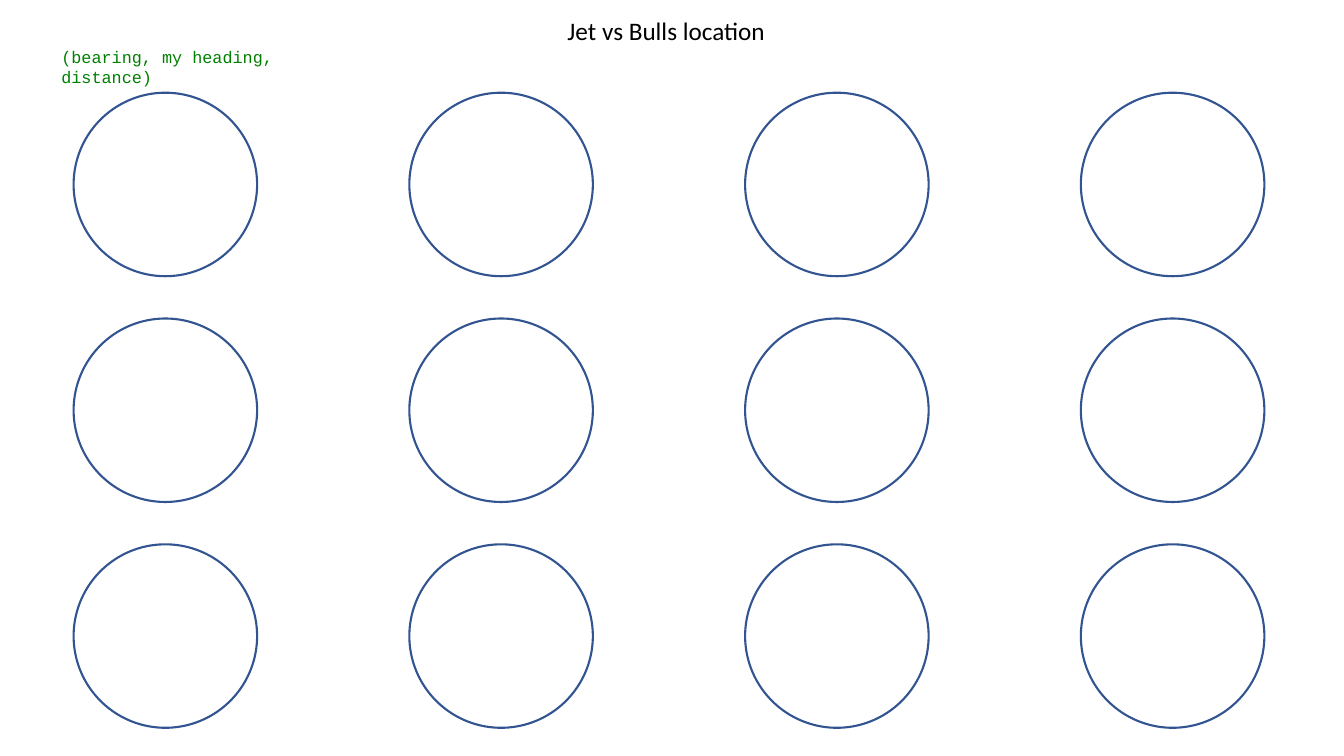
from pptx import Presentation
from pptx import util as u
from pptx.dml.color import RGBColor
from pptx.enum import shapes, text

COLS, ROWS = 4, 3
LEFT, TOP = 0.73, 0.92
STEP_X, STEP_Y = 3.33, 2.24
SIZE = 1.82


def paint(code):
    return RGBColor.from_string(code)


def add_ring(slide, col, row):
    ring = slide.shapes.add_shape(
        shapes.MSO_SHAPE.OVAL,
        u.Inches(LEFT + col * STEP_X), u.Inches(TOP + row * STEP_Y),
        u.Inches(SIZE), u.Inches(SIZE))
    ring.shadow.inherit = False
    ring.fill.background()
    ring.line.color.rgb = paint("325491")
    ring.line.width = u.Pt(1.5)


def add_label(slide, words, box, font, size, color, wrap=False):
    label = slide.shapes.add_textbox(*map(u.Inches, box))
    frame = label.text_frame
    frame.word_wrap = wrap
    frame.auto_size = text.MSO_AUTO_SIZE.NONE
    para = frame.paragraphs[0]
    para.text = words
    para.font.name = font
    para.font.size = u.Pt(size)
    para.font.color.rgb = paint(color)
    return frame


def main():
    deck = Presentation()
    deck.slide_width, deck.slide_height = u.Inches(13.33), u.Inches(7.5)
    slide = deck.slides.add_slide(deck.slide_layouts[6])

    for col in range(COLS):
        for row in range(ROWS):
            add_ring(slide, col, row)

    add_label(slide, "Jet vs Bulls location", (5.53, 0.1, 2.27, 0.4),
              "Calibri", 18, "000000")
    hint = add_label(slide, "(bearing, my heading, distance)",
                     (0.51, 0.41, 3.25, 0.3), "Courier New", 12, "008000",
                     wrap=True)
    # The wide right inset breaks the hint before its last word.
    hint.margin_right = u.Inches(0.8)

    deck.save("out.pptx")


if __name__ == "__main__":
    main()
